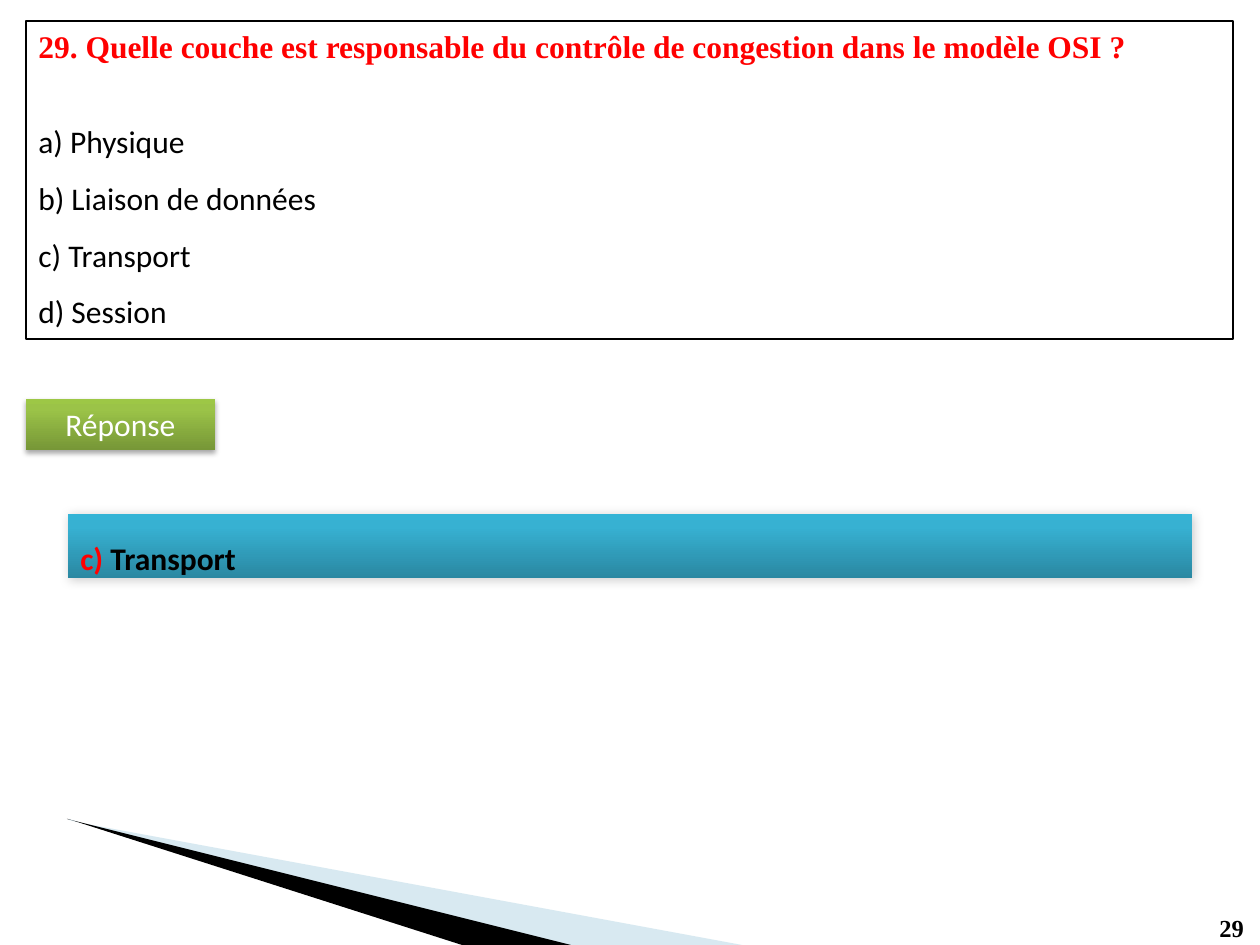
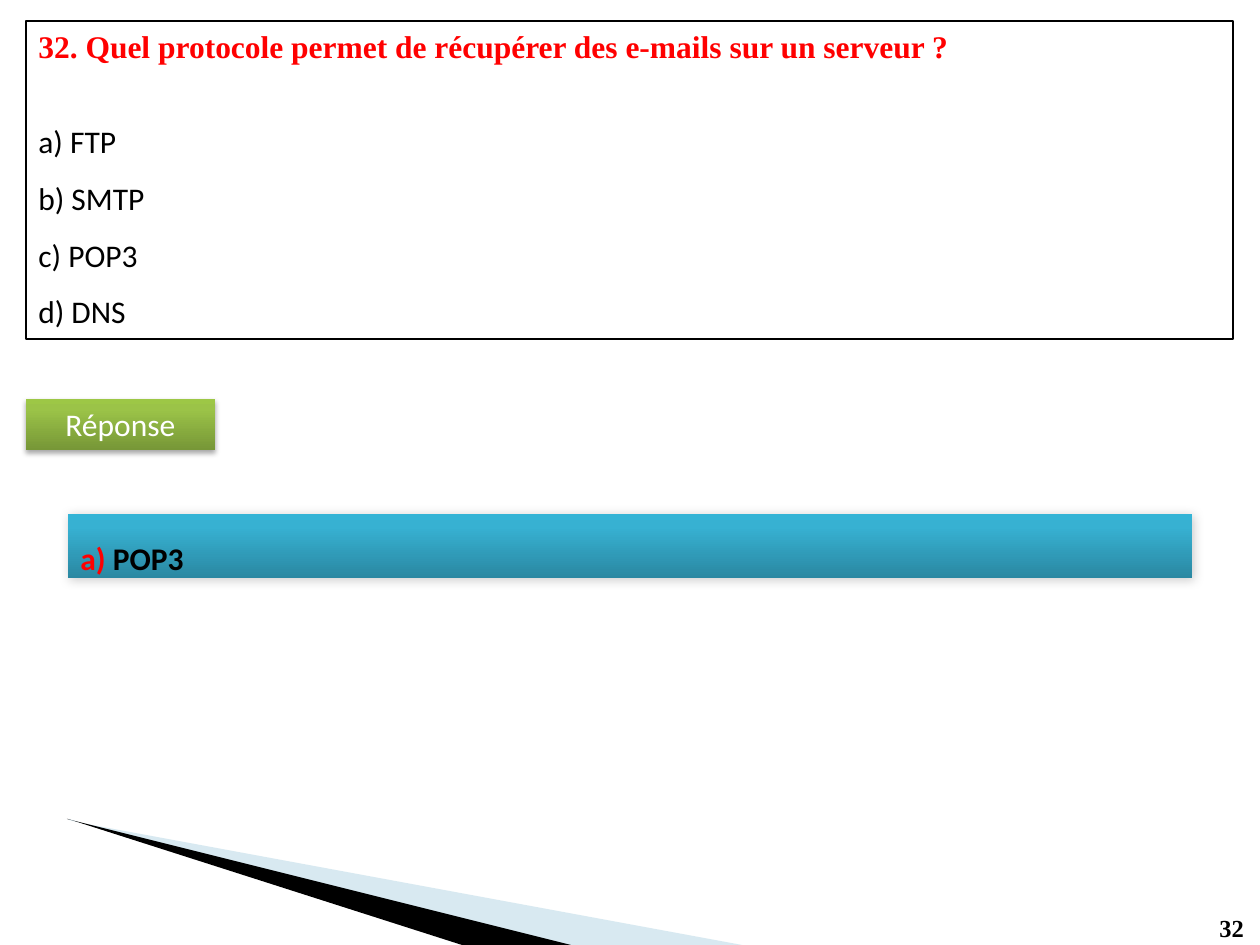
from lxml import etree
from pptx import Presentation
from pptx import util as u
from pptx.dml.color import RGBColor
from pptx.enum import shapes, text
from pptx.oxml.ns import qn

SCALE = 914400 / 126  # EMU in one px
WIDE, HIGH = 1260, 945

BLACK = RGBColor(0x00, 0x00, 0x00)
WHITE = RGBColor(0xFF, 0xFF, 0xFF)
RED = RGBColor(0xFF, 0x00, 0x00)
PALE = RGBColor(0x9F, 0xCA, 0xDC)
GREEN = [(0, RGBColor(0x77, 0x97, 0x37)), (80, RGBColor(0x9B, 0xC3, 0x48)),
         (100, RGBColor(0x9D, 0xC7, 0x46))]
BLUE = [(0, RGBColor(0x2A, 0x88, 0xA2)), (80, RGBColor(0x37, 0xB1, 0xD2)),
        (100, RGBColor(0x34, 0xB4, 0xD6))]

SERIF, SANS = "Times New Roman", "Calibri"
TITLE = dict(name=SERIF, size=u.Pt(18), bold=True, color=RED)
OPTION = dict(name=SANS, size=u.Pt(18), bold=False, color=BLACK)
LABEL = dict(OPTION, color=WHITE)
MARK = dict(OPTION, bold=True, color=RED)
ANSWER = dict(MARK, color=BLACK)
NUMBER = dict(TITLE, size=u.Pt(14), color=BLACK)

QUESTIONS = [
    (29, "Quelle couche est responsable du contrôle de congestion dans le modèle OSI ?",
     ["Physique", "Liaison de données", "Transport", "Session"], ("c", "Transport")),
    (32, "Quel protocole permet de récupérer des e-mails sur un serveur ?",
     ["FTP", "SMTP", "POP3", "DNS"], ("a", "POP3")),
]


def px(*vals):
    return [u.Emu(round(v * SCALE)) for v in vals]


def write(para, words, style):
    run = para.add_run()
    run.text = words
    for key, val in style.items():
        if key == "color":
            run.font.color.rgb = val
        else:
            setattr(run.font, key, val)


def add_rect(slide, box):
    rect = slide.shapes.add_shape(shapes.MSO_SHAPE.RECTANGLE, *px(*box))
    rect.shadow.inherit = False
    frame = rect.text_frame
    frame.word_wrap = True
    frame.vertical_anchor = text.MSO_ANCHOR.TOP
    frame.paragraphs[0].alignment = text.PP_ALIGN.LEFT
    return rect


def add_bar(slide, box, stops, alpha, blur, dist, angle):
    """Add a borderless bar with a gradient from bottom to top and a shadow."""
    bar = add_rect(slide, box)
    bar.line.fill.background()
    bar.fill.gradient()
    bar.fill.gradient_angle = 90
    props = bar._element.spPr
    ramp = props.find(".//" + qn("a:gsLst"))
    for old in list(ramp):
        ramp.remove(old)
    for pos, color in stops:
        stop = etree.SubElement(ramp, qn("a:gs"), pos=str(pos * 1000))
        etree.SubElement(stop, qn("a:srgbClr"), val=str(color))
    shade = etree.SubElement(
        props.find(qn("a:effectLst")), qn("a:outerShdw"), blurRad=str(u.Pt(blur)),
        dist=str(u.Pt(dist)), dir=str(angle * 60000), rotWithShape="0")
    tint = etree.SubElement(shade, qn("a:srgbClr"), val=str(BLACK))
    etree.SubElement(tint, qn("a:alpha"), val=str(alpha * 1000))
    return bar


def add_blade(slide, color, *rings):
    """Add one filled outline made of closed rings of px points."""
    pen = slide.shapes.build_freeform(*rings[0][0], scale=SCALE)
    for i, ring in enumerate(rings):
        if i:
            pen.move_to(*ring[0])
        pen.add_line_segments(ring[1:], close=True)
    blade = pen.convert_to_shape()
    blade.shadow.inherit = False
    blade.fill.solid()
    blade.fill.fore_color.rgb = color
    blade.line.fill.background()
    return blade


def add_decor(slide, left, top):
    base = HIGH

    def at(*points):
        return [(left + x, y if y == base else top + y) for x, y in points]

    pale = add_blade(slide, PALE, at((14, 4), (501, base), (675, base)),
                     at((2, 0), (2, 1), (14, 4)))
    tint = pale._element.spPr.find(qn("a:solidFill"))[0]
    etree.SubElement(tint, qn("a:alpha"), val="40000")
    add_blade(slide, BLACK, at((0, 0), (1, 0), (395, base), (504, base)))


def add_number(slide, box, num):
    frame = slide.shapes.add_textbox(*px(*box)).text_frame
    frame.word_wrap = True
    write(frame.paragraphs[0], str(num), NUMBER)


def add_question(slide, box, title, options):
    rect = add_rect(slide, box)
    rect.fill.background()
    rect.line.color.rgb = BLACK
    rect.line.width = u.Pt(0.75)
    frame = rect.text_frame
    write(frame.paragraphs[0], title, TITLE)
    for i, (letter, option) in enumerate(zip("abcd", options)):
        para = frame.add_paragraph()
        para.alignment = text.PP_ALIGN.LEFT
        para.line_spacing = 1.5
        if i == 0:
            para.space_before = u.Pt(22)
        write(para, f"{letter}) {option}", OPTION)


def add_label(slide, box):
    para = add_bar(slide, box, GREEN, 35, 3.1, 1.8, 90).text_frame.paragraphs[0]
    para.alignment = text.PP_ALIGN.CENTER
    write(para, "Réponse", LABEL)


def add_answer(slide, box, letter, answer):
    para = add_bar(slide, box, BLUE, 20, 6, 1, 45).text_frame.paragraphs[0]
    para.line_spacing = 1.5
    write(para, f"{letter}) ", MARK)
    write(para, answer, ANSWER)


def add_quiz(deck, num, title, options, answer):
    slide = deck.slides.add_slide(deck.slide_layouts[6])
    add_decor(slide, 67, 819)
    add_number(slide, (1207, 907, 50, 43), num)
    add_question(slide, (26, 21, 1207, 318), f"{num}. {title}", options)
    add_label(slide, (26, 399, 189, 51))
    add_answer(slide, (68, 514, 1124, 64), *answer)


def main():
    deck = Presentation()
    deck.slide_width, deck.slide_height = px(WIDE, HIGH)
    for question in QUESTIONS:
        add_quiz(deck, *question)
    deck.save("out.pptx")


if __name__ == "__main__":
    main()
